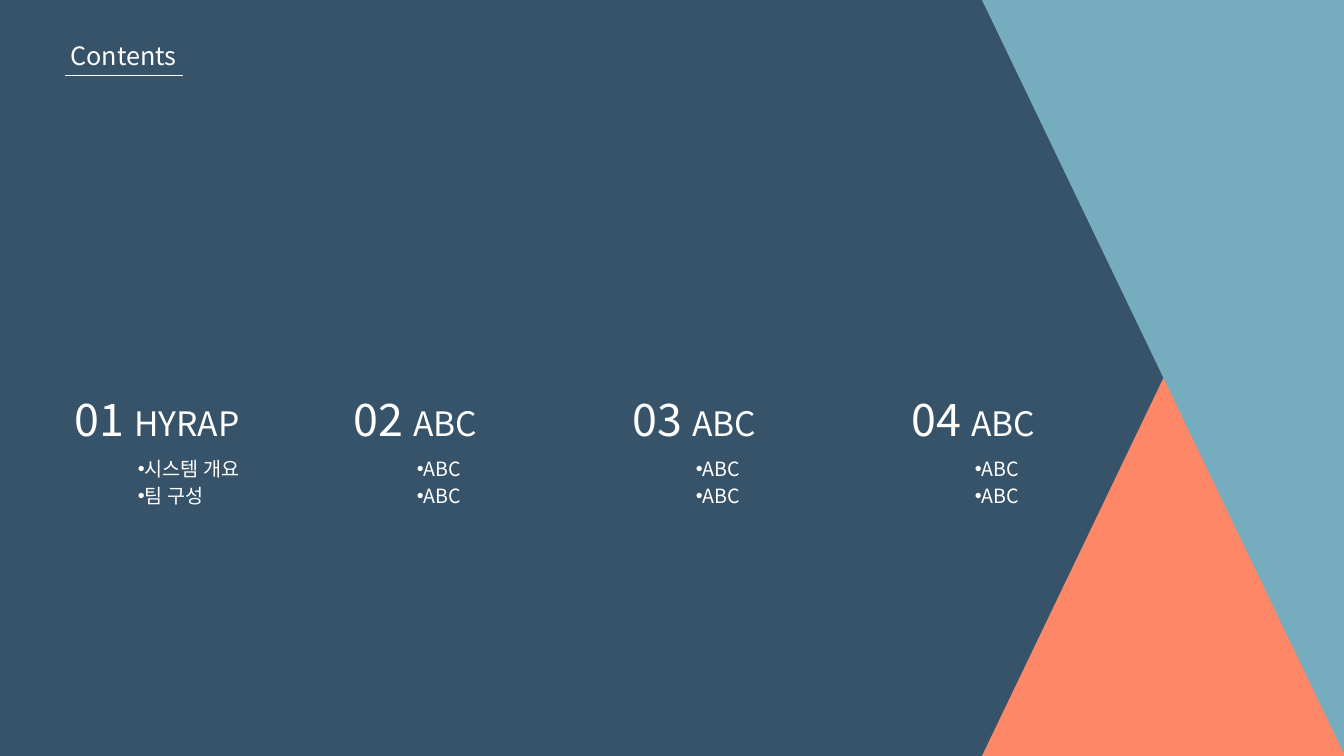
from lxml import etree
from pptx import Presentation
from pptx.dml.color import RGBColor
from pptx.enum.shapes import MSO_CONNECTOR, MSO_SHAPE
from pptx.enum.text import MSO_AUTO_SIZE
from pptx.oxml.ns import qn
from pptx.util import Inches, Pt

RECT, TRIANGLE = MSO_SHAPE.RECTANGLE, MSO_SHAPE.RIGHT_TRIANGLE
STRAIGHT = MSO_CONNECTOR.STRAIGHT
GROW = MSO_AUTO_SIZE.SHAPE_TO_FIT_TEXT

THEME = {
    "font": "Noto Sans CJK KR",
    "navy": RGBColor(0x37, 0x53, 0x6A),
    "coral": RGBColor(0xFD, 0x87, 0x66),
    "teal": RGBColor(0x75, 0xAD, 0xBE),
    "white": RGBColor(0xFF, 0xFF, 0xFF),
    "title": Pt(18),
    "number": Pt(32),
    "heading": Pt(24),
    "item": Pt(14),
}


def add_run(p, text, size):
    r = p.add_run()
    r.text = text
    for name, value in {"name": THEME["font"], "size": THEME[size]}.items():
        setattr(r.font, name, value)
    r.font.color.rgb = THEME["white"]
    etree.SubElement(r.font._element, qn("a:ea"), typeface=THEME["font"])


def add_text(shapes, left, top, width, height, paragraphs, bullet=False):
    """Each paragraph is a list of (text, size name) runs."""
    box = shapes.add_textbox(Inches(left), Inches(top), Inches(width), Inches(height))
    tf = box.text_frame
    for name, value in {"word_wrap": True, "auto_size": GROW}.items():
        setattr(tf, name, value)
    for i, runs in enumerate(paragraphs):
        p = tf.add_paragraph() if i else tf.paragraphs[0]
        if bullet:
            p.space_after = Pt(3)
            pPr = p._p.get_or_add_pPr()
            pPr.set("marL", "0")
            pPr.set("indent", str(Inches(-0.2)))
            etree.SubElement(pPr, qn("a:buFont"), typeface="Arial")
            etree.SubElement(pPr, qn("a:buChar"), char="•")
        for text, size in runs:
            add_run(p, text, size)


prs = Presentation()
prs.slide_width, prs.slide_height = Inches(13.33), Inches(7.5)
s = prs.slides.add_slide(prs.slide_layouts[6])

# Background and the two triangles on the right
for kind, left, width, color, flips in (
    (RECT, 0, 13.33, "navy", ()),
    (TRIANGLE, 9.74, 3.6, "coral", ("flipH",)),
    (TRIANGLE, 9.74, 3.6, "teal", ("flipH", "flipV")),
):
    sp = s.shapes.add_shape(kind, Inches(left), 0, Inches(width), Inches(7.5))
    sp.shadow.inherit = False
    sp.fill.solid()
    sp.fill.fore_color.rgb = THEME[color]
    sp.line.fill.background()
    for flip in flips:
        sp._element.spPr.xfrm.set(flip, "1")

# Four chapters, evenly spaced
chapters = [
    ("HYRAP", ["시스템 개요", "팀 구성"]),
    ("ABC", ["ABC", "ABC"]),
    ("ABC", ["ABC", "ABC"]),
    ("ABC", ["ABC", "ABC"]),
]
for i, (heading, items) in enumerate(chapters):
    left = 0.64 + i * 2.767
    group = s.shapes.add_group_shape()
    add_text(group.shapes, left, 3.84, 2.88, 0.64,
             [[(f"{i + 1:02d} ", "number"), (heading, "heading")]])
    add_text(group.shapes, left + 0.63, 4.48, 2.88, 0.61,
             [[(item, "item")] for item in items], bullet=True)

# Title and its underline
rule = s.shapes.add_connector(STRAIGHT, Inches(0.64), Inches(0.75), Inches(1.82), Inches(0.75))
rule.line.color.rgb = THEME["white"]
rule.line.width = Pt(0.5)
etree.SubElement(rule._element.spPr, qn("a:effectLst"))
add_text(s.shapes, 0.6, 0.35, 1.27, 0.4, [[("Contents", "title")]])

prs.save("out.pptx")
